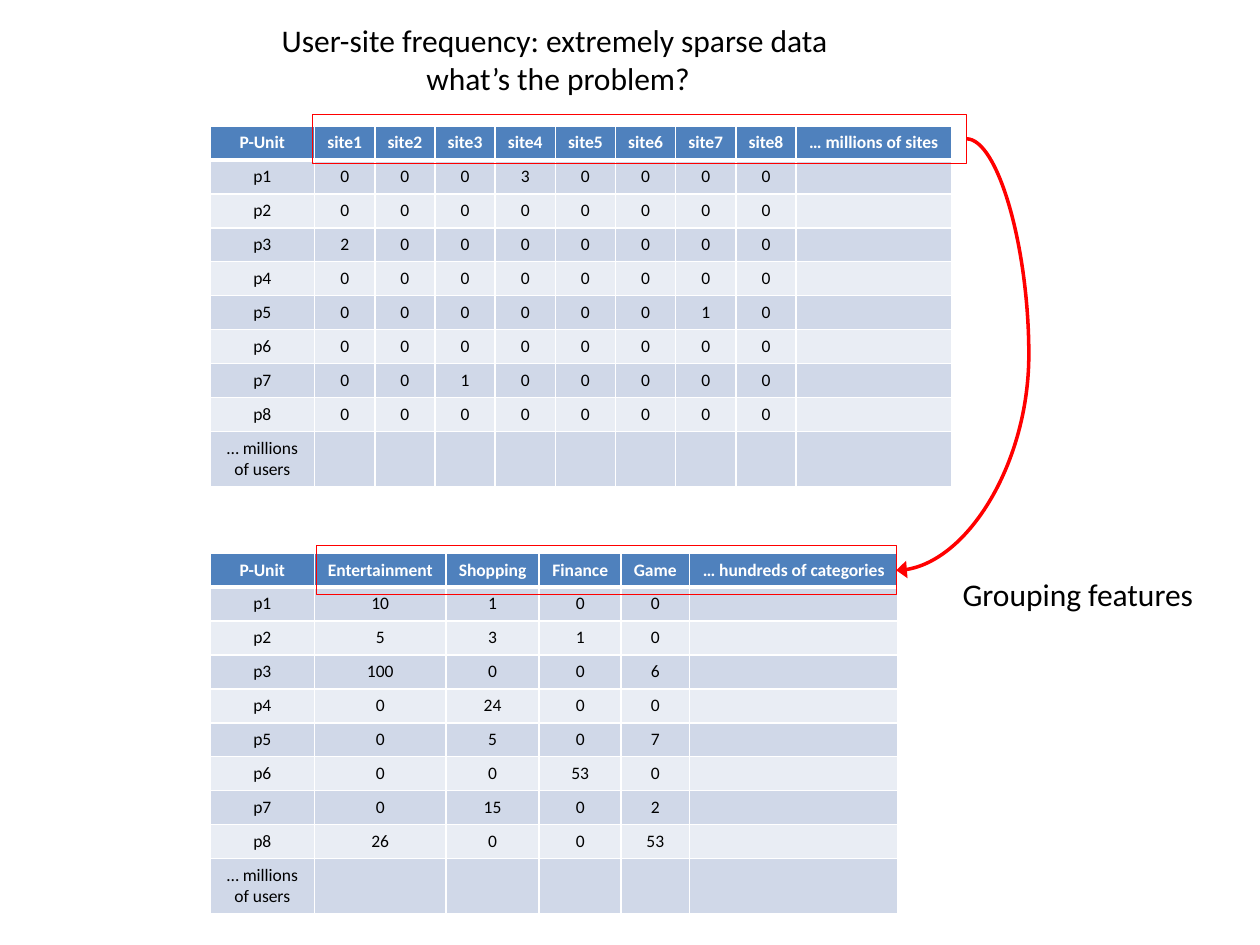
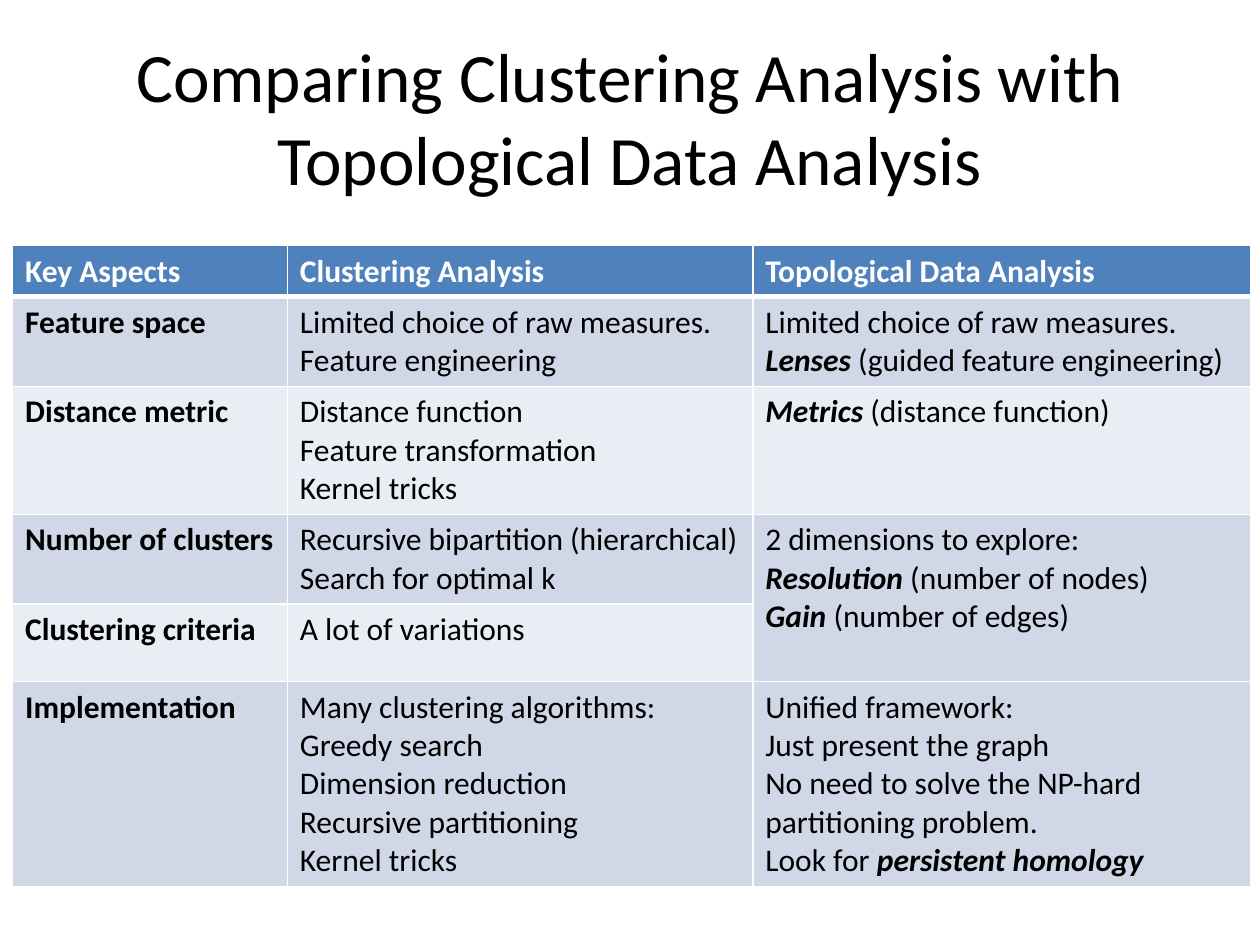
"""Build two slides on sparse user-site data and topological data analysis."""
from lxml.etree import SubElement
from pptx import Presentation
from pptx.dml.color import RGBColor
from pptx.enum.shapes import MSO_CONNECTOR, MSO_SHAPE
from pptx.enum.text import MSO_ANCHOR, MSO_AUTO_SIZE, PP_ALIGN
from pptx.oxml.ns import qn
from pptx.util import Pt

FONT = "Calibri"
COLORS = {
    "text": "000000",
    "white": "FFFFFF",
    "header": "4F81BD",
    "odd": "D0D8E8",
    "even": "E9EDF4",
    "accent": "FF0000",
}
TITLE_ONLY = 5
CELL_PADDING = 7.2
LINE_FACTOR = 1.22
RIGHT_SIDE = 3

UNITS = [f"p{number}" for number in range(1, 9)]
SITE_VISITS = {("p1", 4): 3, ("p3", 1): 2, ("p5", 7): 1, ("p7", 3): 1}
CATEGORY_VISITS = [
    (10, 1, 0, 0),
    (5, 3, 1, 0),
    (100, 0, 0, 6),
    (0, 24, 0, 0),
    (0, 5, 0, 7),
    (0, 0, 53, 0),
    (0, 15, 0, 2),
    (26, 0, 0, 53),
]
COMPARISON = [
    ("Key Aspects", "Clustering Analysis", "Topological Data Analysis"),
    ("Feature space",
     "Limited choice of raw measures.\nFeature engineering",
     "Limited choice of raw measures.\n*Lenses* (guided feature engineering)"),
    ("Distance metric",
     "Distance function\nFeature transformation\nKernel tricks",
     "*Metrics* (distance function)"),
    ("Number of clusters",
     "Recursive bipartition (hierarchical)\nSearch for optimal k",
     "2 dimensions to explore:\n*Resolution* (number of nodes)\n*Gain* (number of edges)"),
    ("Clustering criteria", "A lot of variations", ""),
    ("Implementation",
     "Many clustering algorithms:\nGreedy search\nDimension reduction\n"
     "Recursive partitioning\nKernel tricks",
     "Unified framework:\nJust present the graph\n"
     "No need to solve the NP-hard partitioning problem.\n"
     "Look for *persistent homology*"),
]


def color(name):
    """Return the named colour."""
    return RGBColor.from_string(COLORS[name])


def row_height(lines, size):
    """Return the height in points of a row with the given number of lines."""
    return round(lines * size * LINE_FACTOR + CELL_PADDING, 2)


def write_text(frame, text, size, align=PP_ALIGN.LEFT, ink="text", bold=False):
    """Write one paragraph per line, with *starred* parts in bold italic."""
    for number, line in enumerate(text.split("\n")):
        paragraph = frame.add_paragraph() if number else frame.paragraphs[0]
        paragraph.alignment = align
        for part_number, part in enumerate(line.split("*")):
            if not part:
                continue
            starred = part_number % 2 == 1
            run = paragraph.add_run()
            run.text = part
            run.font.name = FONT
            run.font.size = Pt(size)
            run.font.bold = bold or starred
            run.font.italic = starred
            run.font.color.rgb = color(ink)
        if not line:
            SubElement(paragraph._p, qn("a:endParaRPr"), sz=str(int(size * 100)))


def add_title(slide, text, box, size):
    """Move the title placeholder into the box and write the title."""
    title = slide.shapes.title
    title.left, title.top, title.width, title.height = map(Pt, box)
    frame = title.text_frame
    frame.auto_size = MSO_AUTO_SIZE.NONE
    frame.word_wrap = True
    frame.vertical_anchor = MSO_ANCHOR.MIDDLE
    write_text(frame, text, size, PP_ALIGN.CENTER)


def add_label(slide, text, box, size):
    """Add a text box with a plain label."""
    frame = slide.shapes.add_textbox(*map(Pt, box)).text_frame
    frame.word_wrap = True
    write_text(frame, text, size)


def set_borders(cell, row_number):
    """Give a cell thin white borders and a thick one below the header."""
    properties = cell._tc.get_or_add_tcPr()
    top = 3 if row_number == 1 else 1
    bottom = 3 if row_number == 0 else 1
    for side, width in (("L", 1), ("R", 1), ("T", top), ("B", bottom)):
        line = SubElement(properties, qn(f"a:ln{side}"), w=str(Pt(width)))
        fill = SubElement(line, qn("a:solidFill"))
        SubElement(fill, qn("a:srgbClr"), val=COLORS["white"])


def add_banded_table(slide, rows, left, top, widths, heights, size,
                     align=PP_ALIGN.LEFT, bold_first=False):
    """Add a table with a blue header and alternating row fills."""
    frame = slide.shapes.add_table(len(rows), len(widths), Pt(left), Pt(top),
                                   Pt(sum(widths)), Pt(sum(heights)))
    table = frame.table
    table.horz_banding = False
    for column, width in zip(table.columns, widths):
        column.width = Pt(width)
    for row_number, (values, height) in enumerate(zip(rows, heights)):
        table.rows[row_number].height = Pt(height)
        header = row_number == 0
        band = "header" if header else ("even", "odd")[row_number % 2]
        for column_number, value in enumerate(values):
            cell = table.cell(row_number, column_number)
            set_borders(cell, row_number)
            cell.fill.solid()
            cell.fill.fore_color.rgb = color(band)
            write_text(cell.text_frame, str(value), size, align,
                       "white" if header else "text",
                       header or (bold_first and column_number == 0))
    return table


def add_frequency_table(slide, headings, counts, top, widths):
    """Add a table of visit counts per user, open at the right and bottom."""
    rows = [("P-Unit", *headings)]
    rows += [(unit, *values, "") for unit, values in zip(UNITS, counts)]
    rows.append(("… millions of users", *[""] * len(headings)))
    heights = [row_height(1, 10)] * (len(rows) - 1) + [row_height(2, 10)]
    add_banded_table(slide, rows, 120, top, widths, heights, 10, PP_ALIGN.CENTER)


def add_outline(slide, box):
    """Add an unfilled red rectangle around some headings."""
    shape = slide.shapes.add_shape(MSO_SHAPE.RECTANGLE, *map(Pt, box))
    shape.shadow.inherit = False
    shape.fill.background()
    shape.line.color.rgb = color("accent")
    shape.line.width = Pt(0.75)
    return shape


def add_curved_arrow(slide, source, target, bend):
    """Join the right sides of two shapes with a curved red arrow."""
    connector = slide.shapes.add_connector(MSO_CONNECTOR.CURVE, 0, 0, 0, 0)
    connector.begin_connect(source, RIGHT_SIDE)
    connector.end_connect(target, RIGHT_SIDE)
    connector.line.color.rgb = color("accent")
    connector.line.width = Pt(2)
    properties = connector._element.spPr
    SubElement(properties.find(qn("a:ln")), qn("a:tailEnd"), type="triangle", w="lg")
    SubElement(properties, qn("a:effectLst"))
    geometry = properties.find(qn("a:prstGeom"))
    adjustments = geometry.find(qn("a:avLst"))
    if adjustments is None:
        adjustments = SubElement(geometry, qn("a:avLst"))
    SubElement(adjustments, qn("a:gd"), name="adj1", fmla=f"val {bend}")


def build_sparse_data_slide(presentation):
    """Show site counts being grouped into category counts."""
    slide = presentation.slides.add_slide(presentation.slide_layouts[TITLE_ONLY])
    add_title(slide, "User-site frequency: extremely sparse data \nwhat’s the problem?",
              (151, 8, 336, 51), 18)
    sites = range(1, 9)
    site_counts = [[SITE_VISITS.get((unit, site), 0) for site in sites] for unit in UNITS]
    add_frequency_table(slide, [f"site{site}" for site in sites] + ["… millions of sites"],
                        site_counts, 72, [59.8] + [34.4] * 8 + [88.8])
    add_frequency_table(slide, ["Entertainment", "Shopping", "Finance", "Game",
                                "… hundreds of categories"],
                        CATEGORY_VISITS, 316.1, [59.8, 75, 53.4, 46.8, 39, 119.2])
    add_label(slide, "Grouping features", (543, 325, 160, 29), 18)
    site_outline = add_outline(slide, (178.6, 65.3, 373.7, 28))
    category_outline = add_outline(slide, (180.8, 311.9, 331.4, 28))
    add_curved_arrow(slide, site_outline, category_outline, -88900)


def build_comparison_slide(presentation):
    """Compare clustering with topological data analysis."""
    slide = presentation.slides.add_slide(presentation.slide_layouts[TITLE_ONLY])
    add_title(slide, "Comparing Clustering Analysis with Topological Data Analysis",
              (36, 21.6, 648, 90), 39.6)
    heights = [row_height(lines, 18) for lines in (1, 2, 3, 2, 1.7, 5)]
    table = add_banded_table(slide, COMPARISON, 7.2, 140.4, (157, 266, 284.5),
                             heights, 18, bold_first=True)
    table.cell(3, 2).merge(table.cell(4, 2))


def main():
    """Build and save the presentation."""
    presentation = Presentation()
    presentation.slide_width, presentation.slide_height = Pt(720), Pt(540)
    build_sparse_data_slide(presentation)
    build_comparison_slide(presentation)
    presentation.save("out.pptx")


if __name__ == "__main__":
    main()
